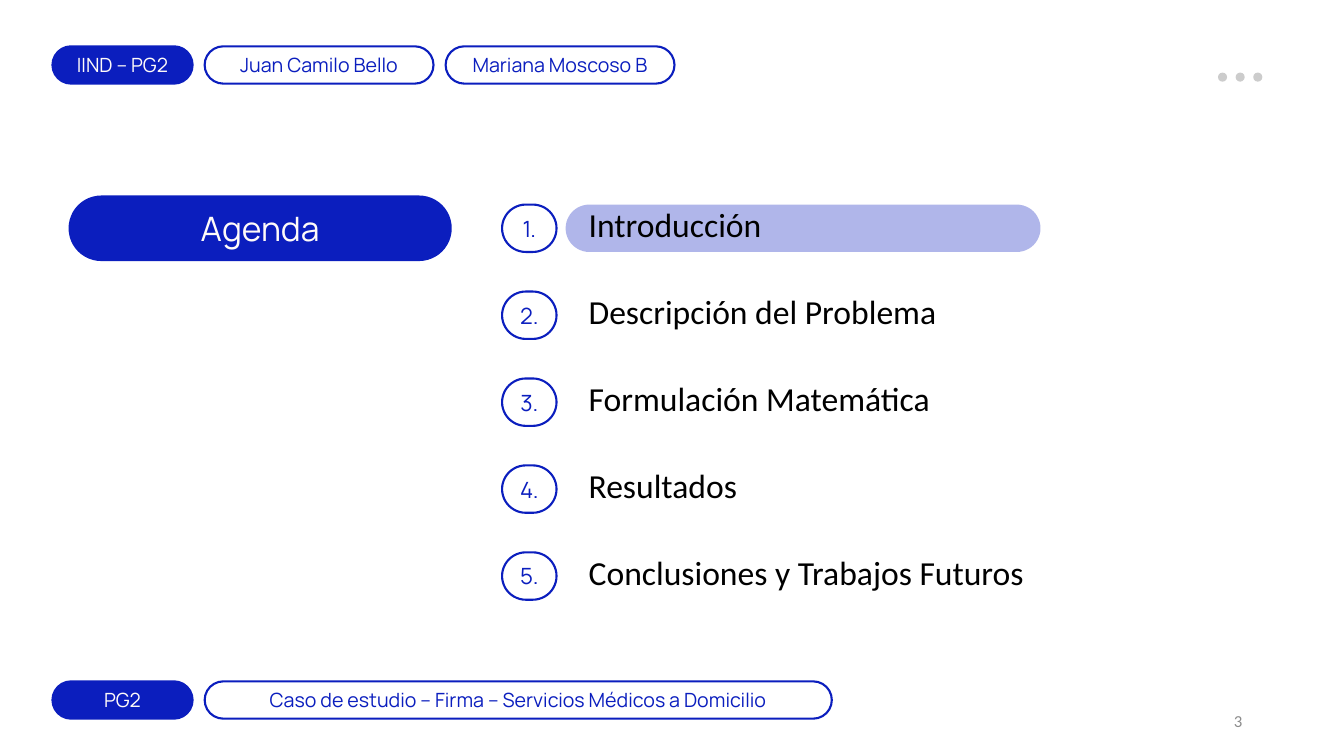
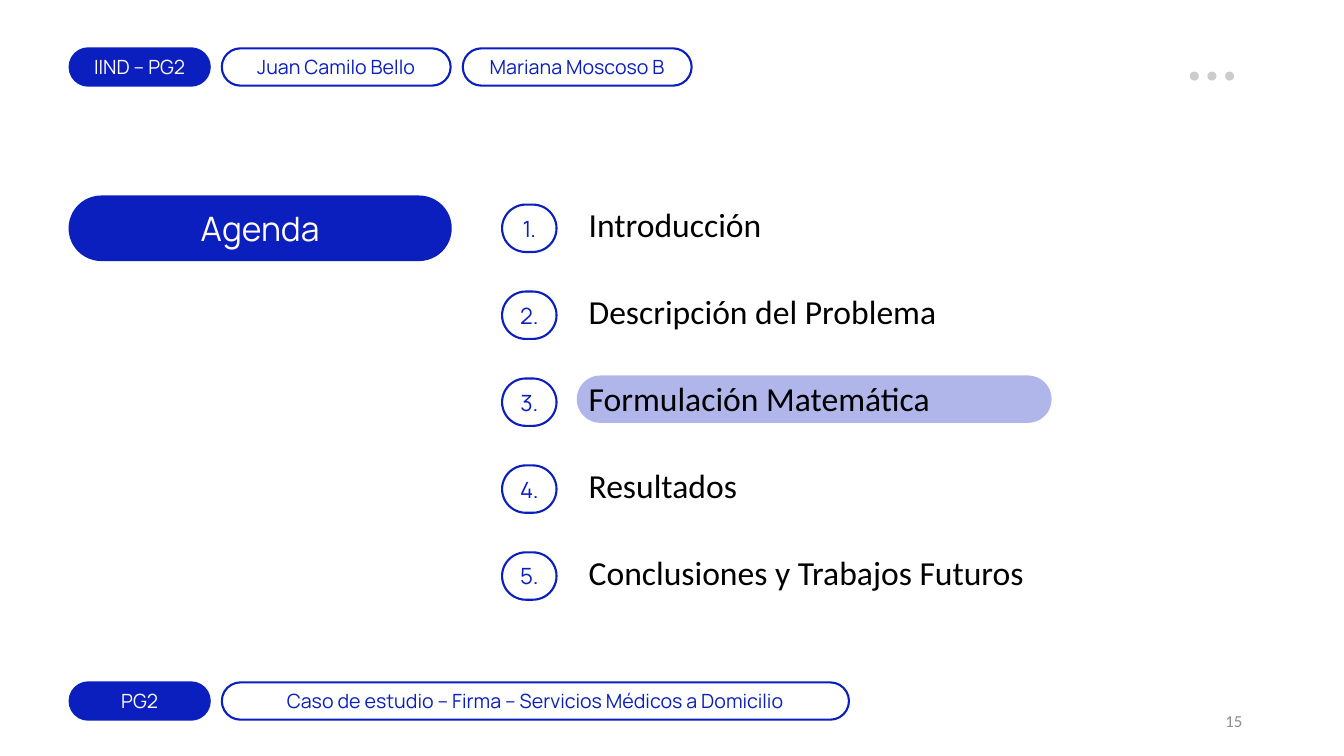
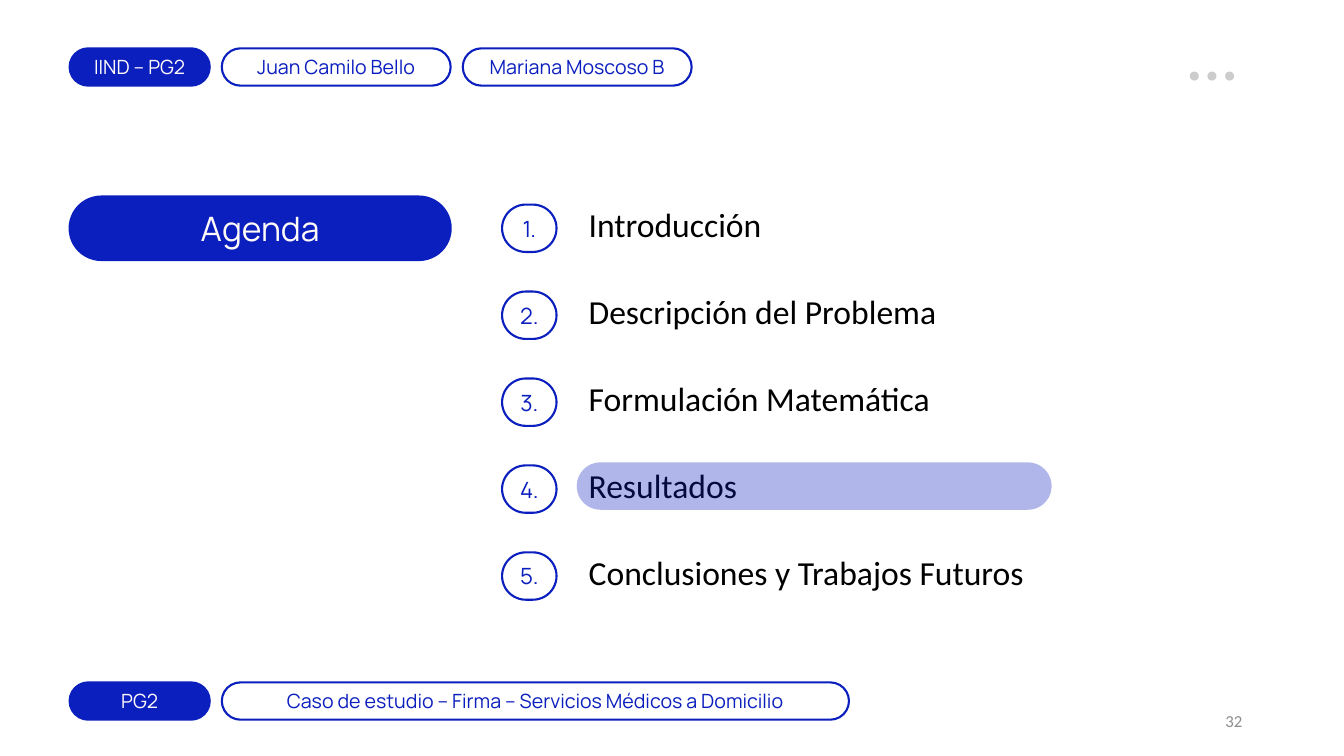
from dataclasses import dataclass

from lxml import etree
from pptx import Presentation
from pptx.dml.color import RGBColor
from pptx.enum import shapes, text
from pptx.oxml.ns import qn
from pptx.util import Inches, Pt


@dataclass(frozen=True)
class Theme:
    blue: str = "0B1EBE"
    light: str = "FFFBF9"
    ink: str = "000000"
    dots: str = "CCCCCC"
    muted: str = "8C8C8C"
    display_font: str = "Manrope"
    body_font: str = "Calibri"
    heading_size: int = 24
    number_size: int = 16
    label_size: int = 14
    footer_size: int = 12
    outline: float = 1.5
    highlight_opacity: int = 32


@dataclass(frozen=True)
class Frame:
    """Where the header, the footer and the dots sit on a slide."""
    left: float
    header_top: float
    footer_top: float
    dots_left: float
    dots_top: float


THEME = Theme()
OPENING_FRAME = Frame(0.52, 0.46, 6.76, 12.08, 0.72)
SECTION_FRAME = Frame(0.69, 0.48, 6.77, 11.8, 0.71)

HEADER = [("IIND – PG2", 1.39), ("Juan Camilo Bello", 2.27), ("Mariana Moscoso B", 2.27)]
FOOTER = [("PG2", 1.39), ("Caso de estudio – Firma – Servicios Médicos a Domicilio", 6.22)]
AGENDA = ["Introducción", "Descripción del Problema", "Formulación Matemática",
          "Resultados", "Conclusiones y Trabajos Futuros"]

TITLE_BOX = (0.69, 1.95, 3.78, 0.63)
FIRST_ROW, LAST_ROW, ROW_HEIGHT = 2.03, 5.48, 0.47
LABEL_HEIGHT, LABEL_GAP = 0.37, 0.12
DOT_SIZE, DOT_PITCH = 0.09, 0.175


def row_top(row):
    return FIRST_ROW + (LAST_ROW - FIRST_ROW) * row / (len(AGENDA) - 1)


def inches(box):
    return [Inches(value) for value in box]


def write(shape, content, size, color, font=THEME.display_font, align=text.PP_ALIGN.CENTER,
          anchor=text.MSO_ANCHOR.MIDDLE, inset=0.1, line_spacing=None):
    frame = shape.text_frame
    frame.word_wrap = True
    frame.auto_size = text.MSO_AUTO_SIZE.NONE
    frame.vertical_anchor = anchor
    frame.margin_left = frame.margin_right = Inches(0.1)
    frame.margin_top = frame.margin_bottom = Inches(inset)
    paragraph = frame.paragraphs[0]
    paragraph.alignment = align
    paragraph.line_spacing = line_spacing
    run = paragraph.add_run()
    run.text = content
    run.font.name = font
    run.font.size = Pt(size)
    run.font.color.rgb = RGBColor.from_string(color)


def add_shape(parent, kind, box, fill=None, line=None):
    shape = parent.shapes.add_shape(kind, *inches(box))
    shape.shadow.inherit = False
    if fill:
        shape.fill.solid()
        shape.fill.fore_color.rgb = RGBColor.from_string(fill)
    else:
        shape.fill.background()
    if line:
        shape.line.color.rgb = RGBColor.from_string(line)
        shape.line.width = Pt(THEME.outline)
    else:
        shape.line.fill.background()
    return shape


def add_pill(slide, box, fill=None, line=THEME.blue):
    pill = add_shape(slide, shapes.MSO_SHAPE.ROUNDED_RECTANGLE, box, fill, line)
    pill.adjustments[0] = 0.5
    return pill


def add_label_row(slide, labels, left, top):
    """Row of pills; the first one is filled and the others are outlined."""
    for index, (label, width) in enumerate(labels):
        fill, color = (None, THEME.blue) if index else (THEME.blue, THEME.light)
        pill = add_pill(slide, (left, top, width, LABEL_HEIGHT), fill)
        write(pill, label, THEME.label_size, color)
        left += width + LABEL_GAP


def add_dots(slide, left, top):
    group = slide.shapes.add_group_shape()
    for index in range(3):
        box = (left + index * DOT_PITCH, top, DOT_SIZE, DOT_SIZE)
        add_shape(group, shapes.MSO_SHAPE.OVAL, box, THEME.dots)


def add_title(slide, content):
    add_pill(slide, TITLE_BOX, THEME.blue)
    title = slide.shapes.title
    title.left, title.top, title.width, title.height = inches(TITLE_BOX)
    write(title, content, THEME.heading_size, THEME.light)
    title.element.getparent().append(title.element)  # bring in front of its pill


def add_highlight(slide, left, top):
    box = (left, top, 4.71, ROW_HEIGHT)
    pill = add_pill(slide, box, THEME.blue, line=None)
    color = pill.element.find(".//" + qn("a:srgbClr"))
    etree.SubElement(color, qn("a:alpha"), val=str(THEME.highlight_opacity * 1000))


def add_agenda(slide):
    for row, topic in enumerate(AGENDA):
        top = row_top(row)
        number = add_pill(slide, (4.98, top, 0.54, ROW_HEIGHT))
        write(number, f"{row + 1}.", THEME.number_size, THEME.blue)
        box = slide.shapes.add_textbox(*inches((5.74, top - 0.06, 4.9, ROW_HEIGHT)))
        write(box, topic, THEME.heading_size, THEME.ink, font=THEME.body_font,
              align=text.PP_ALIGN.LEFT, anchor=text.MSO_ANCHOR.TOP, line_spacing=0.9)


def add_page_number(slide, number):
    box = slide.shapes.add_textbox(*inches((9.42, 6.95, 3, 0.4)))
    write(box, str(number), THEME.footer_size, THEME.muted, font=THEME.body_font,
          align=text.PP_ALIGN.RIGHT, inset=0.05)


def add_agenda_slide(presentation, page, current, frame, highlight_left, highlight_shift=0,
                     highlight_in_front=False):
    slide = presentation.slides.add_slide(presentation.slide_layouts[5])
    highlight = (highlight_left, row_top(current) + highlight_shift)
    if not highlight_in_front:
        add_highlight(slide, *highlight)
    add_title(slide, "Agenda")
    add_agenda(slide)
    if highlight_in_front:
        add_highlight(slide, *highlight)
    add_label_row(slide, HEADER, frame.left, frame.header_top)
    add_label_row(slide, FOOTER, frame.left, frame.footer_top)
    add_dots(slide, frame.dots_left, frame.dots_top)
    add_page_number(slide, page)


def main():
    presentation = Presentation()
    presentation.slide_width, presentation.slide_height = Inches(13.33), Inches(7.5)
    add_agenda_slide(presentation, 3, 0, OPENING_FRAME, 5.61)
    add_agenda_slide(presentation, 15, 2, SECTION_FRAME, 5.72, -0.03)
    add_agenda_slide(presentation, 32, 3, SECTION_FRAME, 5.72, -0.03, highlight_in_front=True)
    presentation.save("out.pptx")


if __name__ == "__main__":
    main()
